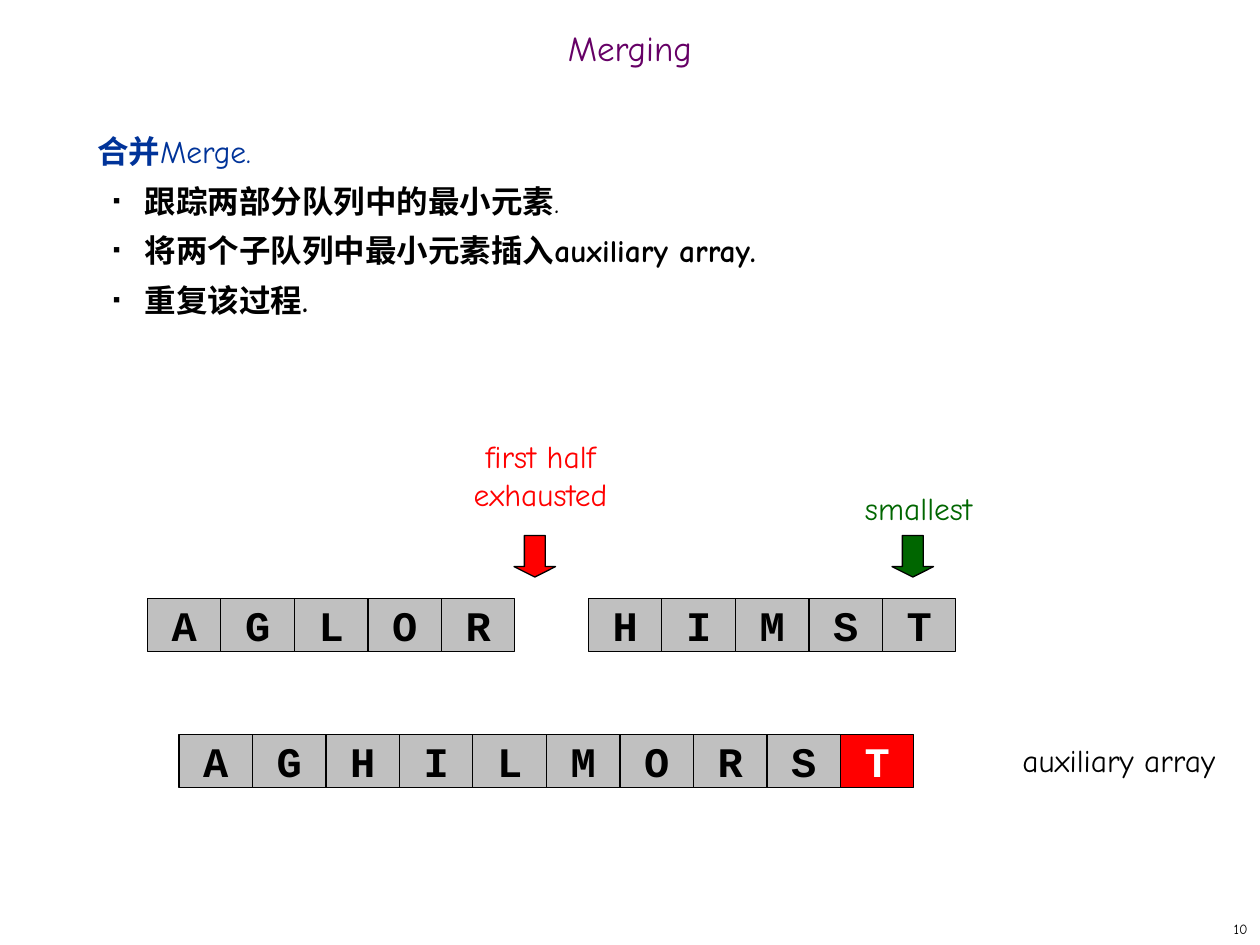
from lxml import etree
from pptx import Presentation, util as u
from pptx.dml.color import RGBColor
from pptx.enum import shapes, text
from pptx.oxml import ns

COLORS = {
    "black": "000000", "white": "FFFFFF", "red": "FF0000", "green": "006600",
    "gray": "C0C0C0", "purple": "660066", "blue": "003399", "arrow_edge": "010000",
}
CELL_WIDTH, CELL_HEIGHT = 7 / 12, 0.42
LABEL_FONT, CELL_FONT = "Comic Neue", "Courier New"
MERGE_STEPS = [
    [("跟踪两部分队列中的最小元素", True), (".", False)],
    [("将两个子队列中最小元素插入auxiliary array.", True)],
    [("重复该过程.", True)],
]


def rgb(color):
    """Return the named colour."""
    return RGBColor.from_string(COLORS[color])


def apply(target, formats):
    """Set each attribute of the target from a dict of values."""
    for attribute, value in formats.items():
        setattr(target, attribute, value)


def inches(box):
    """Convert a left, top, width, height box to lengths."""
    return [u.Inches(length) for length in box]


def add_run(paragraph, words, size, color, bold=False, font=LABEL_FONT):
    """Append formatted words to a paragraph."""
    run = paragraph.add_run()
    run.text = words
    apply(run.font, {"name": font, "size": u.Pt(size), "bold": bold})
    run.font.color.rgb = rgb(color)


def add_label(slide, box, words, color="black", size=18,
              align=text.PP_ALIGN.CENTER, anchor=text.MSO_ANCHOR.TOP):
    """Place a wrapped caption in its box."""
    frame = slide.shapes.add_textbox(*inches(box)).text_frame
    apply(frame, {"word_wrap": True, "vertical_anchor": anchor})
    paragraph = frame.paragraphs[0]
    paragraph.alignment = align
    for index, line in enumerate(words.split("\n")):
        if index:
            paragraph.add_line_break()
        add_run(paragraph, line, size, color)


def add_outlined(slide, kind, box, fill, edge):
    """Place a filled preset shape with a thin outline."""
    outlined = slide.shapes.add_shape(kind, *inches(box))
    outlined.shadow.inherit = False
    outlined.fill.solid()
    outlined.fill.fore_color.rgb = rgb(fill)
    outlined.line.color.rgb = rgb(edge)
    outlined.line.width = u.Pt(0.75)
    return outlined


def add_pointer(slide, left, top, color):
    """Place a short down arrow above an array position."""
    pointer = add_outlined(slide, shapes.MSO_SHAPE.DOWN_ARROW,
                           (left, top, 0.33, 0.33), color, "arrow_edge")
    pointer.adjustments[0], pointer.adjustments[1] = 0.5, 0.25


def add_array(slide, left, top, letters, newest=None):
    """Place a row of letter cells, with the newest one highlighted."""
    for index, letter in enumerate(letters):
        fill, ink = ("red", "white") if index == newest else ("gray", "black")
        box = (left + index * CELL_WIDTH, top, CELL_WIDTH, CELL_HEIGHT)
        cell = add_outlined(slide, shapes.MSO_SHAPE.RECTANGLE, box, fill, "black")
        apply(cell.text_frame, {"word_wrap": False,
                                "vertical_anchor": text.MSO_ANCHOR.MIDDLE})
        paragraph = cell.text_frame.paragraphs[0]
        paragraph.alignment = text.PP_ALIGN.CENTER
        add_run(paragraph, letter, 24, ink, True, CELL_FONT)


def place(placeholder, box, anchor):
    """Move a placeholder to its box and return its text frame."""
    apply(placeholder, dict(zip(("left", "top", "width", "height"), inches(box))))
    apply(placeholder.text_frame, {"auto_size": text.MSO_AUTO_SIZE.NONE,
                                   "word_wrap": True, "vertical_anchor": anchor})
    return placeholder.text_frame


def fill_title(slide, box):
    """Write the slide title."""
    paragraph = place(slide.shapes.title, box, text.MSO_ANCHOR.MIDDLE).paragraphs[0]
    apply(paragraph, {"alignment": text.PP_ALIGN.CENTER, "line_spacing": 0.7})
    add_run(paragraph, "Merging", 20, "purple")


def set_bullet(paragraph):
    """Give a paragraph a small black square and a hanging indent."""
    properties = paragraph._p.get_or_add_pPr()
    properties.set("marL", str(u.Inches(0.38)))
    properties.set("indent", str(u.Inches(-0.25)))
    color = etree.SubElement(properties, ns.qn("a:buClr"))
    etree.SubElement(color, ns.qn("a:srgbClr"), val=COLORS["black"])
    etree.SubElement(properties, ns.qn("a:buSzPct"), val="35000")
    etree.SubElement(properties, ns.qn("a:buFont"), typeface="Arial")
    etree.SubElement(properties, ns.qn("a:buChar"), char="■")


def fill_steps(slide, box):
    """Write the merge heading and its bulleted steps."""
    frame = place(slide.placeholders[1], box, text.MSO_ANCHOR.TOP)
    heading = frame.paragraphs[0]
    properties = heading._p.get_or_add_pPr()
    properties.set("marL", "0")
    properties.set("indent", "0")
    etree.SubElement(properties, ns.qn("a:buNone"))
    heading.space_before = u.Pt(0)
    add_run(heading, "合并", 18, "blue", True)
    add_run(heading, "Merge.", 18, "blue")
    for step in MERGE_STEPS:
        paragraph = frame.add_paragraph()
        set_bullet(paragraph)
        apply(paragraph, {"level": 1, "line_spacing": 1.1, "space_before": u.Pt(4.5)})
        for words, bold in step:
            add_run(paragraph, words, 18, "black", bold)


def add_halves(slide, left, top):
    """Place the two sorted halves with their pointers and captions."""
    add_array(slide, left, top, "AGLOR")
    add_array(slide, left + 6 * CELL_WIDTH, top, "HIMST")
    add_label(slide, (left + 2.08, top - 1.33, 2.08, 0.7),
              "first half\nexhausted", "red")
    add_label(slide, (left + 5.08, top - 0.92, 2.08, 0.4), "smallest", "green")
    add_pointer(slide, left + 2.91, top - 0.5, "red")
    add_pointer(slide, left + 5.91, top - 0.5, "green")


def add_auxiliary(slide, left, top):
    """Place the merged array and its caption."""
    add_array(slide, left, top, "AGHILMORST", newest=9)
    add_label(slide, (left + 6.5, top, 1.92, 0.4), "auxiliary array")


def main():
    """Build and save the merging slide."""
    deck = Presentation()
    apply(deck, {"slide_width": u.Inches(10), "slide_height": u.Inches(7.5)})
    slide = deck.slides.add_slide(deck.slide_layouts[1])
    fill_title(slide, (0, 0.17, 10, 0.5))
    fill_steps(slide, (0.67, 1, 8.58, 5.92))
    add_halves(slide, 1.17, 4.75)
    add_auxiliary(slide, 1.42, 5.83)
    add_label(slide, (7.92, 7.25, 2.08, 0.25), "10", size=8,
              align=text.PP_ALIGN.RIGHT, anchor=text.MSO_ANCHOR.MIDDLE)
    deck.save("out.pptx")


if __name__ == "__main__":
    main()
